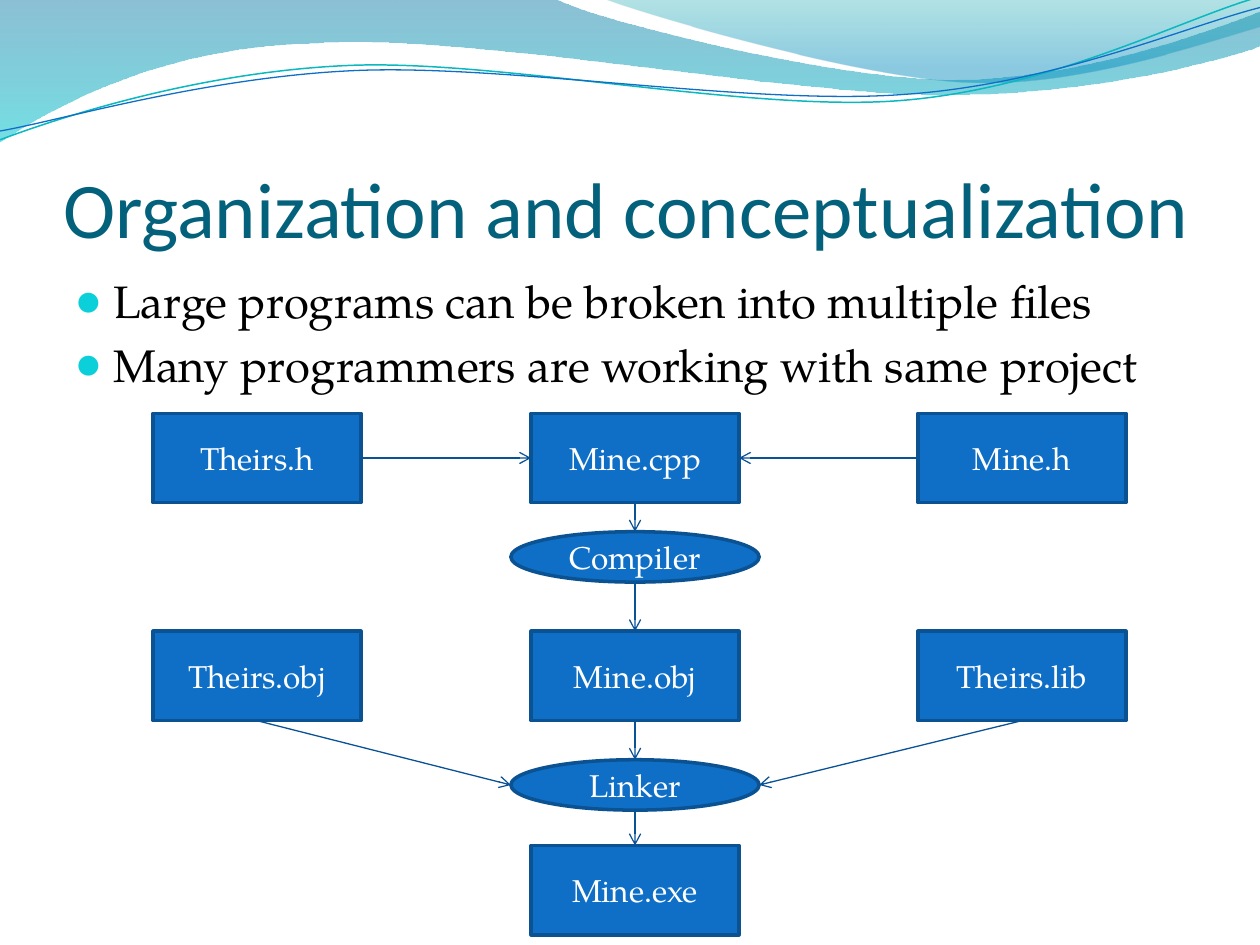
"""Build the slide on organizing a program into files, with its build diagram."""
from lxml import etree
from pptx import Presentation
from pptx import util as u
from pptx.dml.color import RGBColor
from pptx.enum import shapes, text
from pptx.oxml.ns import qn

COLORS = {
    "title": "04617B", "body": "000000", "bullet": "0BD0D9", "label": "FFFFFF",
    "box": "0F6FC6", "border": "0B5292", "arrow": "095295", "teal_line": "0AB8BF",
    "wave_blue": "0074A1", "wave_cyan": "00C6CF",
    "crest_teal": "00A1A9", "crest_blue": "008BBF",
}
SERIF = "TeX Gyre Pagella"


def write_text(frame, content, size=18, font=SERIF, color="label",
               align=text.PP_ALIGN.CENTER, anchor=text.MSO_ANCHOR.MIDDLE):
    frame.word_wrap = True
    frame.auto_size = text.MSO_AUTO_SIZE.NONE
    frame.vertical_anchor = anchor
    frame.text = content
    for paragraph in frame.paragraphs:
        paragraph.alignment = align
        for run in paragraph.runs:
            run.font.size = u.Pt(size)
            run.font.name = font
            run.font.color.rgb = RGBColor.from_string(COLORS[color])


def draw_curve(slide, segments, closed):
    anchors = [(u.Inches(segment[-2]), u.Inches(segment[-1])) for segment in segments]
    builder = slide.shapes.build_freeform(*anchors[0])
    builder.add_line_segments(anchors[1:], close=closed)
    shape = builder.convert_to_shape()
    shape.shadow.inherit = False
    straight_lines = list(shape._element.spPr.iter(qn("a:lnTo")))
    for line, segment in zip(straight_lines, segments[1:]):
        if len(segment) == 6:
            curve = etree.Element(qn("a:cubicBezTo"))
            for x, y in zip(segment[::2], segment[1::2]):
                etree.SubElement(curve, qn("a:pt"), x=str(u.Inches(x) - shape.left),
                                 y=str(u.Inches(y) - shape.top))
            line.getparent().replace(line, curve)
    return shape


presentation = Presentation()
presentation.slide_width, presentation.slide_height = u.Inches(10), u.Inches(7.5)
slide = presentation.slides.add_slide(presentation.slide_layouts[5])

waves = [
    ([(0, 0), (4.4, -0.01), (4.76, 0.17, 6.64, 0.63, 7.58, 0.63),
      (8.53, 0.63, 9.58, 0.26, 10, 0.09), (10.01, 0.36),
      (9.83, 0.44, 8.7, 0.76, 7.46, 0.75), (6.22, 0.75, 3.82, 0.28, 2.57, 0.34),
      (1.29, 0.36, 0.46, 0.83, -0.01, 1.13)],
     [(0, "wave_blue", 45), (1, "wave_cyan", 55)]),
    ([(4.79, -0.01), (5.09, 0.11, 6.82, 0.62, 7.69, 0.65),
      (8.56, 0.69, 9.61, 0.32, 10, 0.21), (10, 0)],
     [(0, "crest_teal", 30), (0.8, "crest_blue", 45)]),
]
for segments, stops in waves:
    shape = draw_curve(slide, segments, closed=True)
    shape.line.fill.background()
    shape.fill.gradient()
    shape.fill.gradient_angle = 270
    for stop, (position, color, opacity) in zip(shape.fill.gradient_stops, stops):
        stop.position = position
        stop.color.rgb = RGBColor.from_string(COLORS[color])
    gradient_colors = shape._element.spPr.iter(qn("a:srgbClr"))
    for element, (position, color, opacity) in zip(gradient_colors, stops):
        etree.SubElement(element, qn("a:alpha"), val=str(opacity * 1000))

strands = [
    ([(0, 1.11), (0.48, 0.93, 1.58, 0.57, 2.77, 0.52),
      (3.95, 0.47, 5.93, 0.89, 7.13, 0.8), (8.33, 0.71, 9.38, 0.15, 9.98, -0.02)],
     "teal_line", 0.85),
    ([(0, 1.04), (0.47, 0.96, 1.64, 0.61, 2.83, 0.56),
      (4.03, 0.51, 5.97, 0.84, 7.17, 0.75), (8.36, 0.67, 9.41, 0.21, 10, 0.06)],
     "box", 0.75),
]
for segments, color, width in strands:
    shape = draw_curve(slide, segments, closed=False)
    shape.fill.background()
    shape.line.color.rgb = RGBColor.from_string(COLORS[color])
    shape.line.width = u.Pt(width)

title = slide.shapes.title
title.left, title.top = u.Inches(0.5), u.Inches(0.77)
title.width, title.height = u.Inches(9), u.Inches(1.25)
write_text(title.text_frame, "Organization and conceptualization", size=45, font="Calibri",
           color="title", align=text.PP_ALIGN.LEFT, anchor=text.MSO_ANCHOR.BOTTOM)
title.text_frame.margin_left = title.text_frame.margin_right = 0
title.text_frame.margin_top, title.text_frame.margin_bottom = u.Inches(0.05), 0

body = slide.shapes.add_textbox(u.Inches(0.5), u.Inches(2.12), u.Inches(9), u.Inches(4.8))
write_text(body.text_frame,
           "Large programs can be broken into multiple files\n"
           "Many programmers are working with same project",
           size=26, color="body", align=text.PP_ALIGN.LEFT, anchor=text.MSO_ANCHOR.TOP)
for paragraph in body.text_frame.paragraphs:
    paragraph.space_before = u.Pt(5.2)
    properties = paragraph._p.get_or_add_pPr()
    properties.set("marL", str(u.Inches(0.3)))
    properties.set("indent", str(u.Inches(-0.3)))
    bullet_color = etree.SubElement(properties, qn("a:buClr"))
    etree.SubElement(bullet_color, qn("a:srgbClr"), val=COLORS["bullet"])
    etree.SubElement(properties, qn("a:buSzPct"), val="95000")
    etree.SubElement(properties, qn("a:buFont"), typeface="Calibri")
    etree.SubElement(properties, qn("a:buChar"), char="●")

BOX = (shapes.MSO_SHAPE.RECTANGLE, 1.65, 0.71)
TOOL = (shapes.MSO_SHAPE.OVAL, 1.97, 0.4)
left, middle, right = 2.04, 5.04, 8.11
nodes = {}
for label, (kind, width, height), center, top in [
    ("Theirs.h", BOX, left, 3.28), ("Mine.cpp", BOX, middle, 3.28), ("Mine.h", BOX, right, 3.28),
    ("Compiler", TOOL, middle, 4.22),
    ("Theirs.obj", BOX, left, 5.01), ("Mine.obj", BOX, middle, 5.01),
    ("Theirs.lib", BOX, right, 5.01),
    ("Linker", TOOL, middle, 6.03),
    ("Mine.exe", BOX, middle, 6.71),
]:
    shape = slide.shapes.add_shape(kind, u.Inches(center - width / 2), u.Inches(top),
                                   u.Inches(width), u.Inches(height))
    shape.shadow.inherit = False
    shape.fill.solid()
    shape.fill.fore_color.rgb = RGBColor.from_string(COLORS["box"])
    shape.line.color.rgb = RGBColor.from_string(COLORS["border"])
    shape.line.width = u.Pt(2)
    write_text(shape.text_frame, label)
    nodes[label] = shape

SIDES = {"top": (0.5, 0), "bottom": (0.5, 1), "left": (0, 0.5), "right": (1, 0.5)}
for source, source_side, target, target_side in [
    ("Theirs.h", "right", "Mine.cpp", "left"),
    ("Mine.h", "left", "Mine.cpp", "right"),
    ("Mine.cpp", "bottom", "Compiler", "top"),
    ("Compiler", "bottom", "Mine.obj", "top"),
    ("Mine.obj", "bottom", "Linker", "top"),
    ("Theirs.obj", "bottom", "Linker", "left"),
    ("Theirs.lib", "bottom", "Linker", "right"),
    ("Linker", "bottom", "Mine.exe", "top"),
]:
    ends = []
    for label, side in ((source, source_side), (target, target_side)):
        node, (across, down) = nodes[label], SIDES[side]
        ends += [int(node.left + across * node.width), int(node.top + down * node.height)]
    arrow = slide.shapes.add_connector(shapes.MSO_CONNECTOR.STRAIGHT, *ends)
    arrow.line.color.rgb = RGBColor.from_string(COLORS["arrow"])
    arrow.line.width = u.Pt(0.75)
    etree.SubElement(arrow.line._get_or_add_ln(), qn("a:tailEnd"), type="arrow")
    etree.SubElement(arrow._element.spPr, qn("a:effectLst"))

presentation.save("out.pptx")
